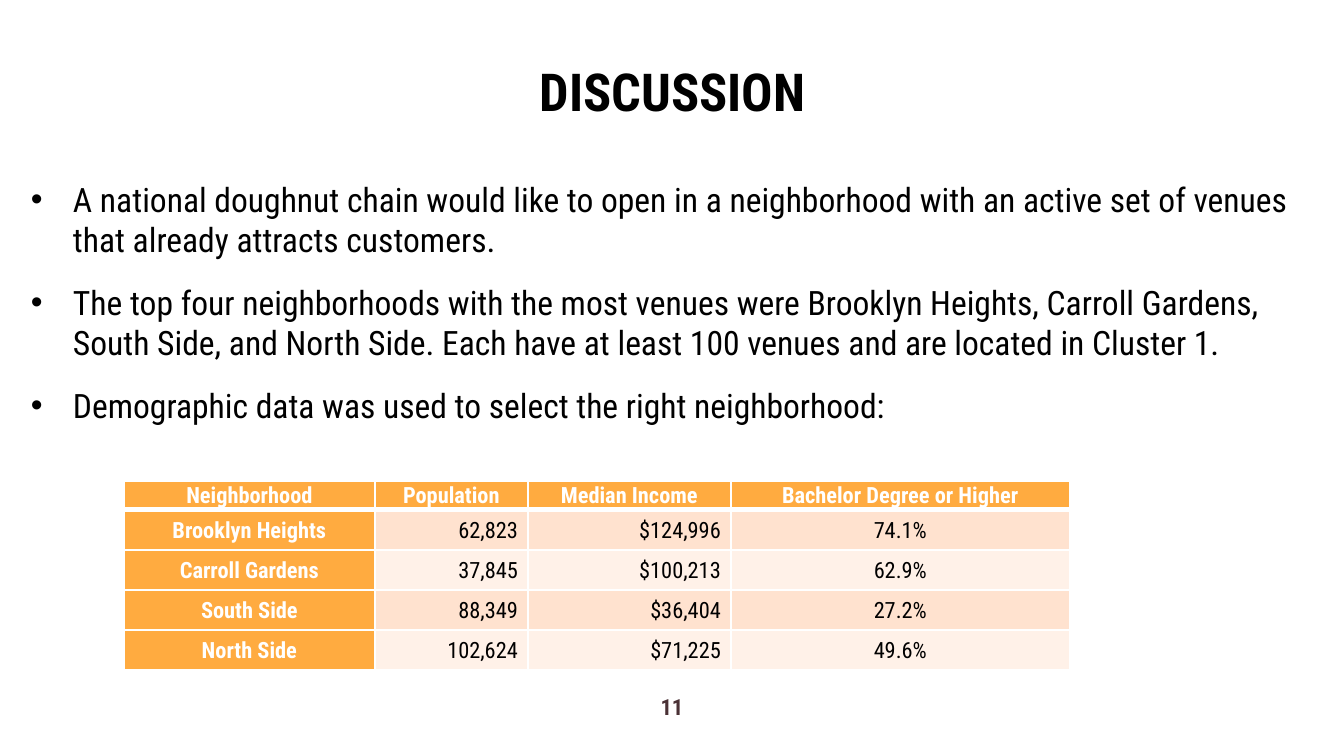
from typing import NamedTuple

from lxml.etree import SubElement
from pptx import Presentation
from pptx.dml.color import RGBColor
from pptx.enum.text import MSO_ANCHOR as Anchor, PP_ALIGN as Align
from pptx.oxml.ns import qn
from pptx.util import Emu, Pt

EMU_PER_PX = 914400 / 134.4
FONT = "Roboto Condensed"
BLACK, WHITE, ORANGE, BROWN = "000000", "FFFFFF", "FFAB40", "4A3135"
BANDS = ("FFE2CF", "FFF1E8")


class Box(NamedTuple):
    left: int
    top: int
    width: int
    height: int


class Style(NamedTuple):
    size: int
    color: str
    bold: bool
    align: Align


class Column(NamedTuple):
    heading: str
    width: int
    align: Align


class Edge(NamedTuple):
    tag: str
    points: int


TITLE = Style(28, BLACK, True, Align.CENTER)
BODY = Style(18, BLACK, False, Align.LEFT)
PAGE_NUMBER = Style(12, BROWN, True, Align.CENTER)
TABLE_HEADING = Style(12, WHITE, True, Align.CENTER)

POINTS = (
    "A national doughnut chain would like to open in a neighborhood with an active set of "
    "venues that already attracts customers.",
    "The top four neighborhoods with the most venues were Brooklyn Heights, Carroll Gardens, "
    "South Side, and North Side. Each have at least 100 venues and are located in Cluster 1.",
    "Demographic data was used to select the right neighborhood:",
)
COLUMNS = (
    Column("Neighborhood", 251, Align.CENTER),
    Column("Population", 153, Align.RIGHT),
    Column("Median Income", 203, Align.RIGHT),
    Column("Bachelor Degree or Higher", 339, Align.CENTER),
)
NEIGHBORHOODS = (
    ("Brooklyn Heights", "62,823", "$124,996", "74.1%"),
    ("Carroll Gardens", "37,845", "$100,213", "62.9%"),
    ("South Side", "88,349", "$36,404", "27.2%"),
    ("North Side", "102,624", "$71,225", "49.6%"),
)
HEADER_HEIGHT, ROW_HEIGHT = 29, 40


def px(length: float) -> Emu:
    return Emu(round(length * EMU_PER_PX))


def rgb(color: str) -> RGBColor:
    return RGBColor.from_string(color)


def set_style(paragraph, style: Style) -> None:
    paragraph.alignment = style.align
    font = paragraph.font
    font.name, font.size, font.bold = FONT, Pt(style.size), style.bold
    font.color.rgb = rgb(style.color)


def add_bullet(paragraph, indent: int) -> None:
    properties = paragraph._p.get_or_add_pPr()
    properties.set("marL", str(px(indent)))
    properties.set("indent", str(-px(indent)))
    SubElement(properties, qn("a:buFont"), typeface="Arial")
    SubElement(properties, qn("a:buChar"), char="•")


def add_text(slide, box: Box, texts: tuple[str, ...], style: Style, *,
             anchor: Anchor = Anchor.TOP, inset: int = 13, indent: int = 0) -> None:
    """Add a text box; a non-zero indent makes its paragraphs bulleted."""
    frame = slide.shapes.add_textbox(*map(px, box)).text_frame
    frame.word_wrap, frame.vertical_anchor = True, anchor
    frame.margin_left = frame.margin_right = px(13)
    frame.margin_top = frame.margin_bottom = px(inset)
    for index, text in enumerate(texts):
        paragraph = frame.add_paragraph() if index else frame.paragraphs[0]
        paragraph.text = text
        if index:
            paragraph.space_before = Pt(12)
        if indent:
            add_bullet(paragraph, indent)
        set_style(paragraph, style)


def add_borders(cell, edges: tuple[Edge, ...]) -> None:
    properties = cell._tc.get_or_add_tcPr()
    for edge in edges:
        line = SubElement(properties, qn(f"a:{edge.tag}"), w=str(Pt(edge.points)))
        SubElement(SubElement(line, qn("a:solidFill")), qn("a:srgbClr"), val=WHITE)


def fill_cell(cell, text: str, style: Style, fill: str, is_header: bool) -> None:
    cell.margin_left = cell.margin_right = px(10)
    cell.margin_top = cell.margin_bottom = 0
    cell.vertical_anchor = Anchor.TOP if is_header else Anchor.MIDDLE
    add_borders(cell, (Edge("lnL", 1), Edge("lnR", 1), Edge("lnT", 1),
                       Edge("lnB", 3 if is_header else 1)))
    cell.fill.solid()
    cell.fill.fore_color.rgb = rgb(fill)
    paragraph = cell.text_frame.paragraphs[0]
    paragraph.text = text
    paragraph.line_spacing = 1.07
    set_style(paragraph, style)


def add_demographics(slide, left: int, top: int) -> None:
    rows = (tuple(column.heading for column in COLUMNS), *NEIGHBORHOODS)
    box = Box(left, top, sum(column.width for column in COLUMNS),
              HEADER_HEIGHT + ROW_HEIGHT * len(NEIGHBORHOODS))
    table = slide.shapes.add_table(len(rows), len(COLUMNS), *map(px, box)).table
    for index, column in enumerate(COLUMNS):
        table.columns[index].width = px(column.width)
    for r, row in enumerate(rows):
        table.rows[r].height = px(ROW_HEIGHT if r else HEADER_HEIGHT)
        for c, text in enumerate(row):
            if r and c:
                style = Style(12, BLACK, False, COLUMNS[c].align)
                fill = BANDS[(r - 1) % len(BANDS)]
            else:
                style, fill = TABLE_HEADING, ORANGE
            fill_cell(table.cell(r, c), text, style, fill, is_header=r == 0)


def main() -> None:
    deck = Presentation()
    deck.slide_width, deck.slide_height = px(1344), px(756)
    slide = deck.slides.add_slide(deck.slide_layouts[6])
    add_text(slide, Box(73, 79, 1199, 56), ("DISCUSSION",), TITLE, anchor=Anchor.BOTTOM)
    add_text(slide, Box(632, 680, 80, 58), ("11",), PAGE_NUMBER)
    add_text(slide, Box(18, 172, 1302, 387), POINTS, BODY, inset=7, indent=42)
    add_demographics(slide, left=124, top=481)
    deck.save("out.pptx")


if __name__ == "__main__":
    main()
